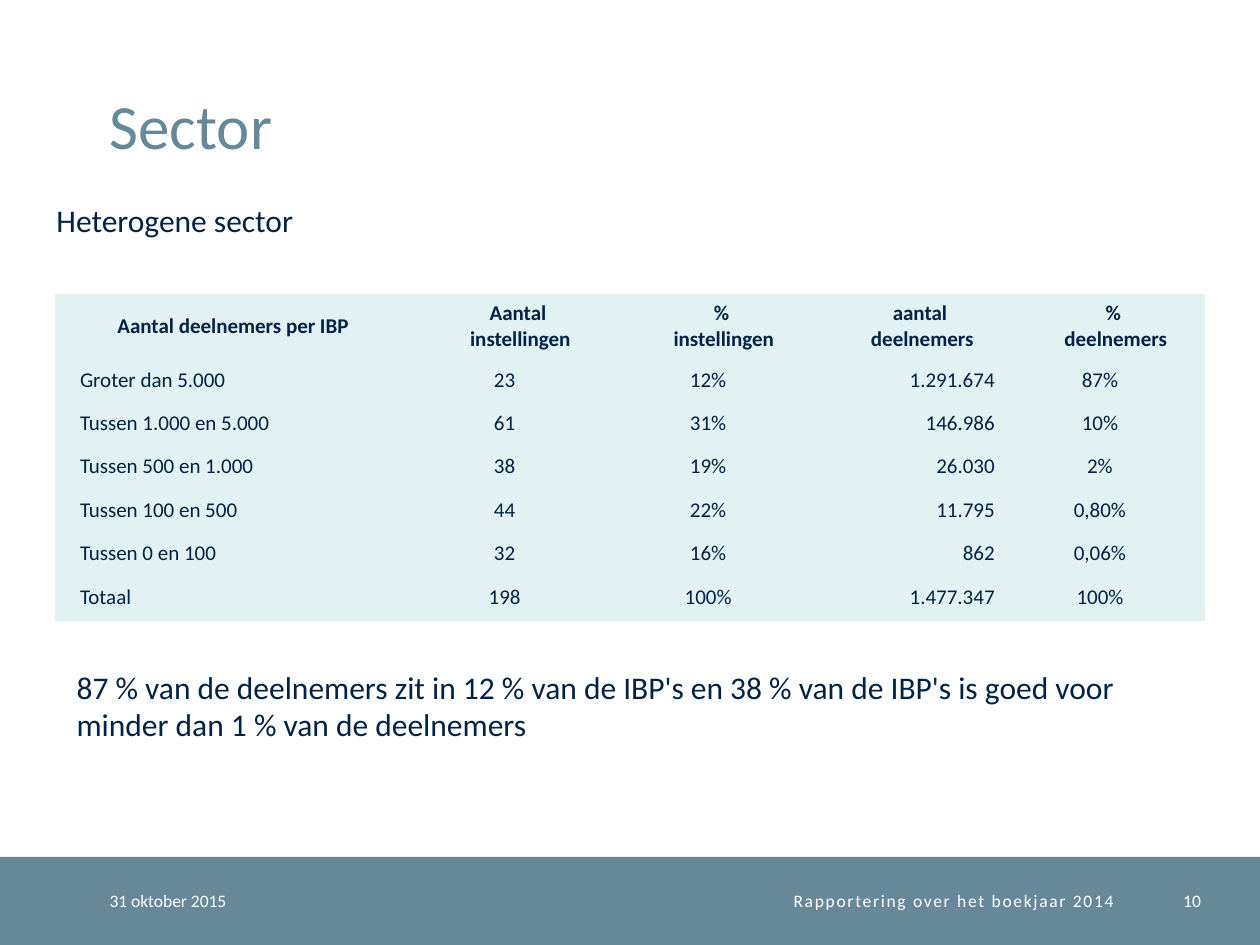
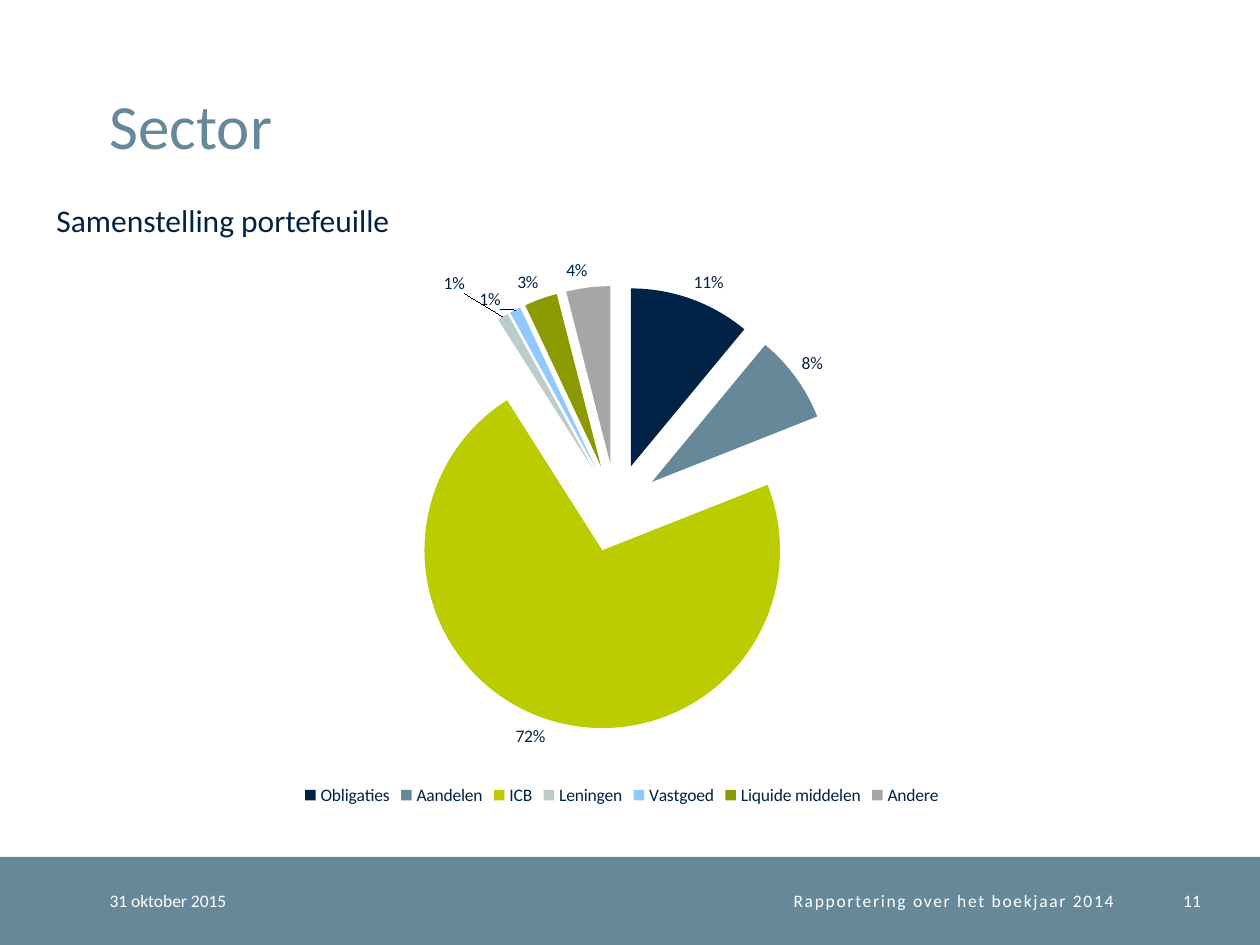
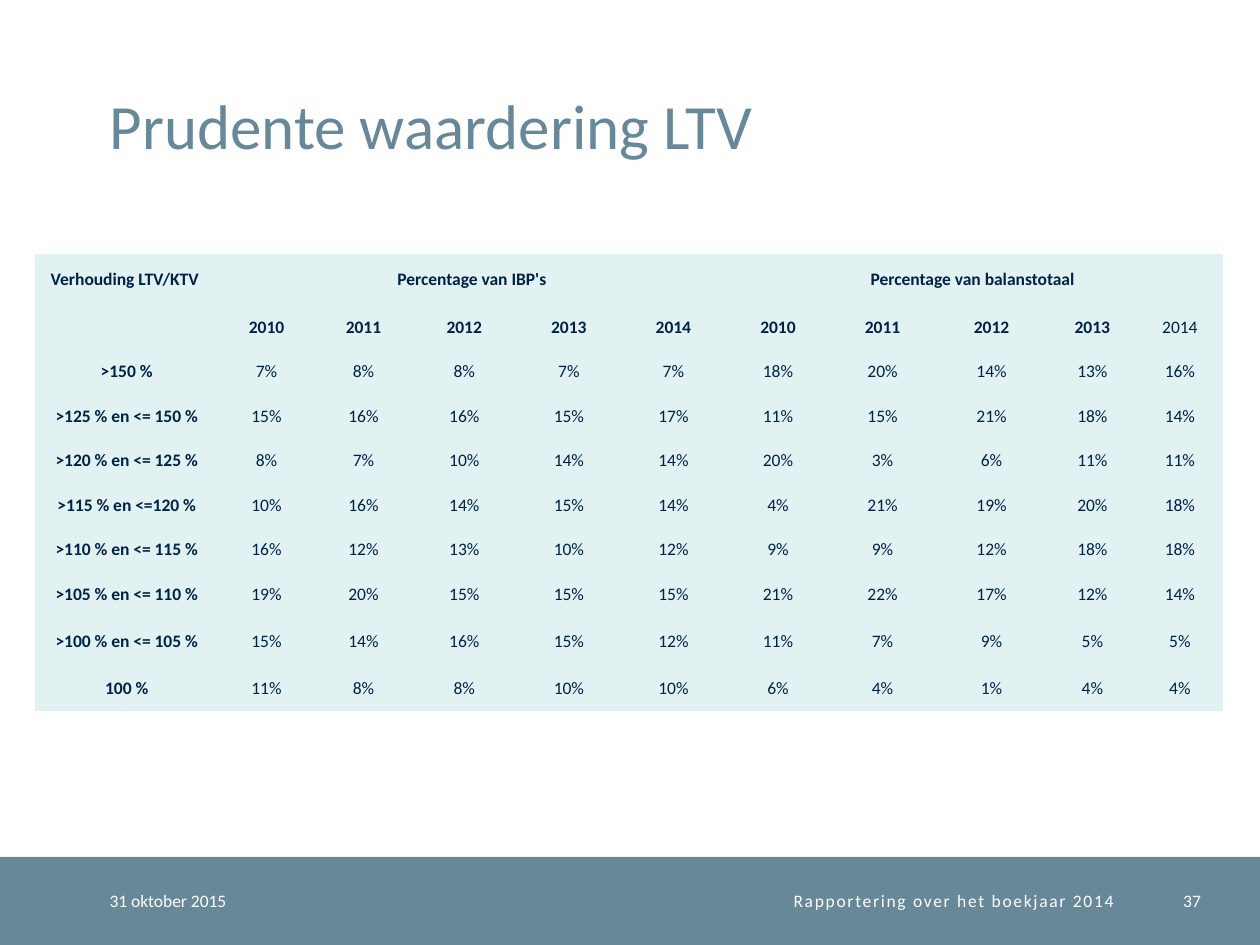
from typing import NamedTuple

from lxml.etree import SubElement
from pptx import Presentation
from pptx.chart.data import CategoryChartData
from pptx.dml.color import RGBColor
from pptx.enum.chart import XL_CHART_TYPE, XL_LABEL_POSITION, XL_LEGEND_POSITION
from pptx.enum.shapes import MSO_SHAPE
from pptx.enum.text import MSO_ANCHOR, MSO_AUTO_SIZE, PP_ALIGN
from pptx.oxml import parse_xml
from pptx.oxml.ns import nsdecls, qn
from pptx.util import Inches, Pt

WIDE, HIGH = Inches(10), Inches(7.5)
FONT = "Calibri"
PLAIN_STYLE = "{2D5ABB26-0587-4C30-8999-92F81FD0307C}"
COLORS = {
    "navy": "002244", "steel": "668899", "lime": "BBCC00", "mist": "BBCCCC",
    "sky": "91C8FF", "olive": "8B9A00", "gray": "A6A6A6", "pale": "E2F2F3",
    "white": "FFFFFF",
}
LEFT, MID, RIGHT = PP_ALIGN.LEFT, PP_ALIGN.CENTER, PP_ALIGN.RIGHT


def across(share: float) -> int:
    return round(WIDE * share / 100)


def down(share: float) -> int:
    return round(HIGH * share / 100)


class Box(NamedTuple):
    """Place on the slide, in percent of its width and height."""
    left: float
    top: float
    width: float
    height: float

    def place(self) -> tuple[int, int, int, int]:
        return (across(self.left), down(self.top),
                across(self.width), down(self.height))


class Foot(NamedTuple):
    text: str
    left: float
    width: float
    align: PP_ALIGN
    spread: int = 0


class Look(NamedTuple):
    """Format of one table cell; pads are in inches."""
    bold: bool = False
    align: PP_ALIGN = MID
    before: float = 0
    after: float = 0


class Slice(NamedTuple):
    name: str
    value: float
    color: str


BAND = Box(0, 90.67, 100, 9.33)
TITLE = Box(8.7, 2.75, 86.3, 14.4)
HEAD = Look(bold=True)

SIZES = [
    ["Aantal deelnemers per IBP", "Aantal \ninstellingen", "% \ninstellingen",
     "aantal \ndeelnemers", "% \ndeelnemers"],
    ["Groter dan 5.000", "23", "12%", "1.291.674", "87%"],
    ["Tussen 1.000 en 5.000", "61", "31%", "146.986", "10%"],
    ["Tussen 500 en 1.000", "38", "19%", "26.030", "2%"],
    ["Tussen 100 en 500", "44", "22%", "11.795", "0,80%"],
    ["Tussen 0 en 100", "32", "16%", "862", "0,06%"],
    ["Totaal", "198", "100%", "1.477.347", "100%"],
]

SLICES = [
    Slice("Obligaties", 0.11, "navy"),
    Slice("Aandelen", 0.08, "steel"),
    Slice("ICB", 0.72, "lime"),
    Slice("Leningen", 0.01, "mist"),
    Slice("Vastgoed", 0.01, "sky"),
    Slice("Liquide middelen", 0.03, "olive"),
    Slice("Andere", 0.04, "gray"),
]

YEARS = [str(year) for year in range(2010, 2015)]
RATIOS = {
    ">150 %": (7, 8, 8, 7, 7, 18, 20, 14, 13, 16),
    ">125 % en <= 150 %": (15, 16, 16, 15, 17, 11, 15, 21, 18, 14),
    ">120 % en <= 125 %": (8, 7, 10, 14, 14, 20, 3, 6, 11, 11),
    ">115 % en <=120 %": (10, 16, 14, 15, 14, 4, 21, 19, 20, 18),
    ">110 % en <= 115 %": (16, 12, 13, 10, 12, 9, 9, 12, 18, 18),
    ">105 % en <= 110 %": (19, 20, 15, 15, 15, 21, 22, 17, 12, 14),
    ">100 % en <= 105 %": (15, 14, 16, 15, 12, 11, 7, 9, 5, 5),
    "100 %": (11, 8, 8, 10, 10, 6, 4, 1, 4, 4),
}


def paint(fill, name: str) -> None:
    fill.solid()
    fill.fore_color.rgb = RGBColor.from_string(COLORS[name])


def style(font, size: float, color: str = "navy", bold: bool = False) -> None:
    font.name, font.size, font.bold = FONT, Pt(size), bold
    font.color.rgb = RGBColor.from_string(COLORS[color])


def write(frame, text: str, *, size: float, color: str = "navy",
          bold: bool = False, align: PP_ALIGN = LEFT,
          line: float | None = None, spread: int = 0) -> None:
    """Fill a text frame, one paragraph a line; spread is in points."""
    for i, words in enumerate(text.split("\n")):
        para = frame.paragraphs[0] if i == 0 else frame.add_paragraph()
        para.alignment = align
        if line:
            para.line_spacing = Pt(line)
        if words:
            run = para.add_run()
            run.text = words
            style(run.font, size, color, bold)
            if spread:
                run._r.get_or_add_rPr().set("spc", str(spread * 100))


def trim(frame) -> None:
    frame.margin_left = frame.margin_right = 0
    frame.margin_top = frame.margin_bottom = 0


def add_text(slide, box: Box, text: str, **form):
    frame = slide.shapes.add_textbox(*box.place()).text_frame
    frame.word_wrap = True
    write(frame, text, **form)
    return frame


def start(deck, title: str, page: int):
    """Add a slide with its title, band and footers."""
    slide = deck.slides.add_slide(deck.slide_layouts[5])
    band = slide.shapes.add_shape(MSO_SHAPE.RECTANGLE, *BAND.place())
    band.shadow.inherit = False
    paint(band.fill, "steel")
    band.line.fill.background()

    head = slide.shapes.title
    head.left, head.top, head.width, head.height = TITLE.place()
    frame = head.text_frame
    trim(frame)
    frame.auto_size = MSO_AUTO_SIZE.NONE
    frame.vertical_anchor = MSO_ANCHOR.BOTTOM
    write(frame, title, size=36, color="steel", line=32)

    for foot in (
        Foot("31 oktober 2015", 8.7, 17.7, LEFT),
        Foot("Rapportering over het boekjaar 2014", 26.4, 62, RIGHT, 1),
        Foot(str(page), 90.4, 4.9, RIGHT),
    ):
        box = Box(foot.left, BAND.top, foot.width, BAND.height)
        frame = add_text(slide, box, foot.text, size=10, color="white",
                         align=foot.align, spread=foot.spread)
        trim(frame)
        frame.vertical_anchor = MSO_ANCHOR.MIDDLE
    return slide


def add_grid(slide, left: float, top: float, cols: list[float],
             rows: list[float], cells: list[list[str]], size: float, look):
    """Add a table; look(row, col) gives the format of each cell."""
    box = Box(left, top, sum(cols), sum(rows))
    frame = slide.shapes.add_table(len(rows), len(cols), *box.place())
    frame.element.xpath(".//a:tableStyleId")[0].text = PLAIN_STYLE
    table = frame.table
    table.first_row = table.horz_banding = False
    for col, width in zip(table.columns, cols):
        col.width = across(width)
    for row, height in zip(table.rows, rows):
        row.height = down(height)
    for r, line in enumerate(cells):
        for c, text in enumerate(line):
            cell, form = table.cell(r, c), look(r, c)
            trim(cell)
            cell.margin_left = Inches(form.before)
            cell.margin_right = Inches(form.after)
            cell.vertical_anchor = MSO_ANCHOR.MIDDLE
            paint(cell.fill, "pale")
            write(cell.text_frame, text, size=size, bold=form.bold,
                  align=form.align)
    return table


def layout(x: float, y: float, w: float = 0, h: float = 0):
    """Make a chart layout: a fixed plot area, or a label shift if no size."""
    root = parse_xml(f"<c:layout {nsdecls('c')}><c:manualLayout/></c:layout>")
    parts = {"x": x, "y": y}
    if w:
        parts = {"layoutTarget": "inner", "xMode": "edge", "yMode": "edge",
                 **parts, "w": w, "h": h}
    for tag, value in parts.items():
        SubElement(root[0], qn(f"c:{tag}")).set("val", str(value))
    return root


def add_pie(slide, box: Box, slices: list[Slice]) -> None:
    data = CategoryChartData(number_format="0%")
    data.categories = [part.name for part in slices]
    data.add_series("Series 1", [part.value for part in slices])
    chart = slide.shapes.add_chart(XL_CHART_TYPE.PIE, *box.place(), data).chart
    style(chart.font, 10)
    chart.has_title = False
    chart.has_legend = True
    chart.legend.position = XL_LEGEND_POSITION.BOTTOM
    chart.legend.include_in_layout = False
    chart.plots[0].vary_by_categories = True

    series = chart.plots[0].series[0]
    for i, part in enumerate(slices):
        paint(series.points[i].format.fill, part.color)
        series.points[i].format.line.fill.background()
    for point in chart.element.xpath(".//c:dPt"):
        burst = parse_xml(f'<c:explosion {nsdecls("c")} val="25"/>')
        point.find(qn("c:spPr")).addprevious(burst)

    labels = series.data_labels
    labels.show_value = True
    labels.number_format, labels.number_format_is_linked = "0%", False
    labels.position = XL_LABEL_POSITION.OUTSIDE_END
    style(labels.font, 10)
    for i, shift in {3: (-0.03, -0.03), 4: (-0.01, 0.01)}.items():
        label = series.points[i].data_label
        style(label.font, 10)
        label.position = XL_LABEL_POSITION.OUTSIDE_END
        mark = chart.element.xpath(f'.//c:dLbl/c:idx[@val="{i}"]')[0]
        mark.addnext(layout(*shift))

    area = chart.element.xpath(".//c:plotArea")[0]
    for old in area.findall(qn("c:layout")):
        area.remove(old)
    area.insert(0, layout(0.34, 0.15, 0.31, 0.63))


def size_look(row: int, col: int) -> Look:
    if row == 0:
        return HEAD
    if col == 0:
        return Look(align=LEFT, before=0.2)
    return Look(align=RIGHT if col == 3 else MID, after=0.25)


def ratio_look(row: int, col: int) -> Look:
    return Look(bold=col == 0 or row == 0 or (row == 1 and col < 10))


def main() -> None:
    deck = Presentation()
    deck.slide_width, deck.slide_height = WIDE, HIGH

    slide = start(deck, "Sector", 10)
    add_text(slide, Box(3.5, 20.6, 32.3, 5.33), "Heterogene sector", size=18)
    add_grid(slide, 4.35, 31.07, [28.3, 17.3, 15, 16.5, 14.2],
             [6.88] + [4.58] * 5 + [4.84], SIZES, 12, size_look)
    add_text(slide, Box(5.1, 70, 90.6, 9.47),
             "87 % van de deelnemers zit in 12 % van de IBP's en 38 % van de "
             "IBP's is goed voor minder dan 1 % van de deelnemers", size=18)

    slide = start(deck, "Sector", 11)
    add_text(slide, Box(3.5, 20.6, 38.6, 5.33), "Samenstelling portefeuille",
             size=18)
    add_pie(slide, Box(3.5, 26, 91.7, 59.73), SLICES)

    slide = start(deck, "Prudente waardering LTV", 37)
    blank = [""] * 4
    cells = [
        ["Verhouding LTV/KTV ", "Percentage van IBP's", *blank,
         "Percentage van balanstotaal ", *blank],
        ["", *YEARS, *YEARS],
        *([name, *(f"{n}%" for n in nums)] for name, nums in RATIOS.items()),
    ]
    table = add_grid(slide, 2.8, 26.93,
                     [14.5, 7.7, 7.7] + [8.3] * 5 + [9, 7, 6.9],
                     [5.33] + [4.71] * 7 + [5.33, 4.71], cells, 10, ratio_look)
    for first in (1, 6):
        table.cell(0, first).merge(table.cell(0, first + 4))

    deck.save("out.pptx")


if __name__ == "__main__":
    main()
